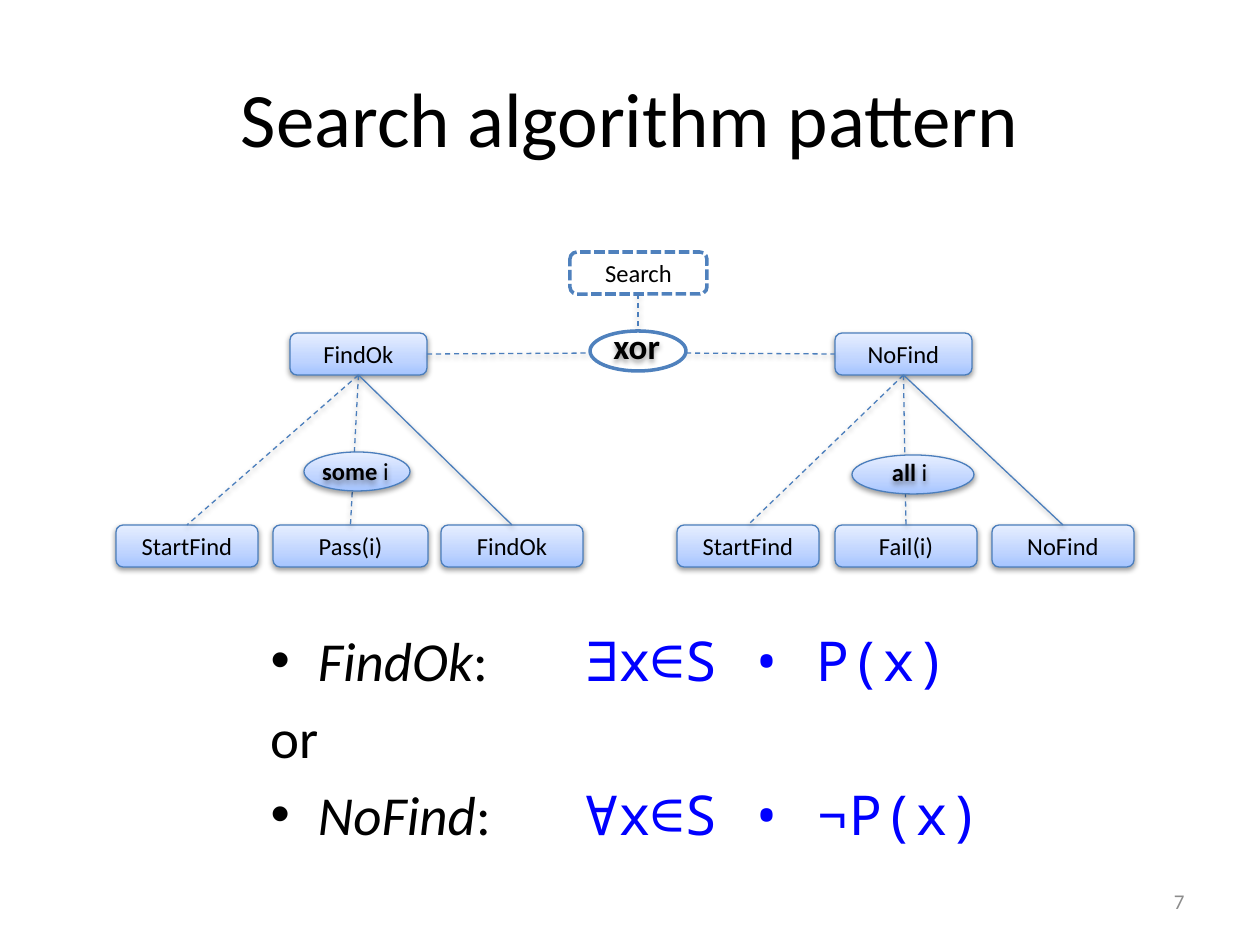
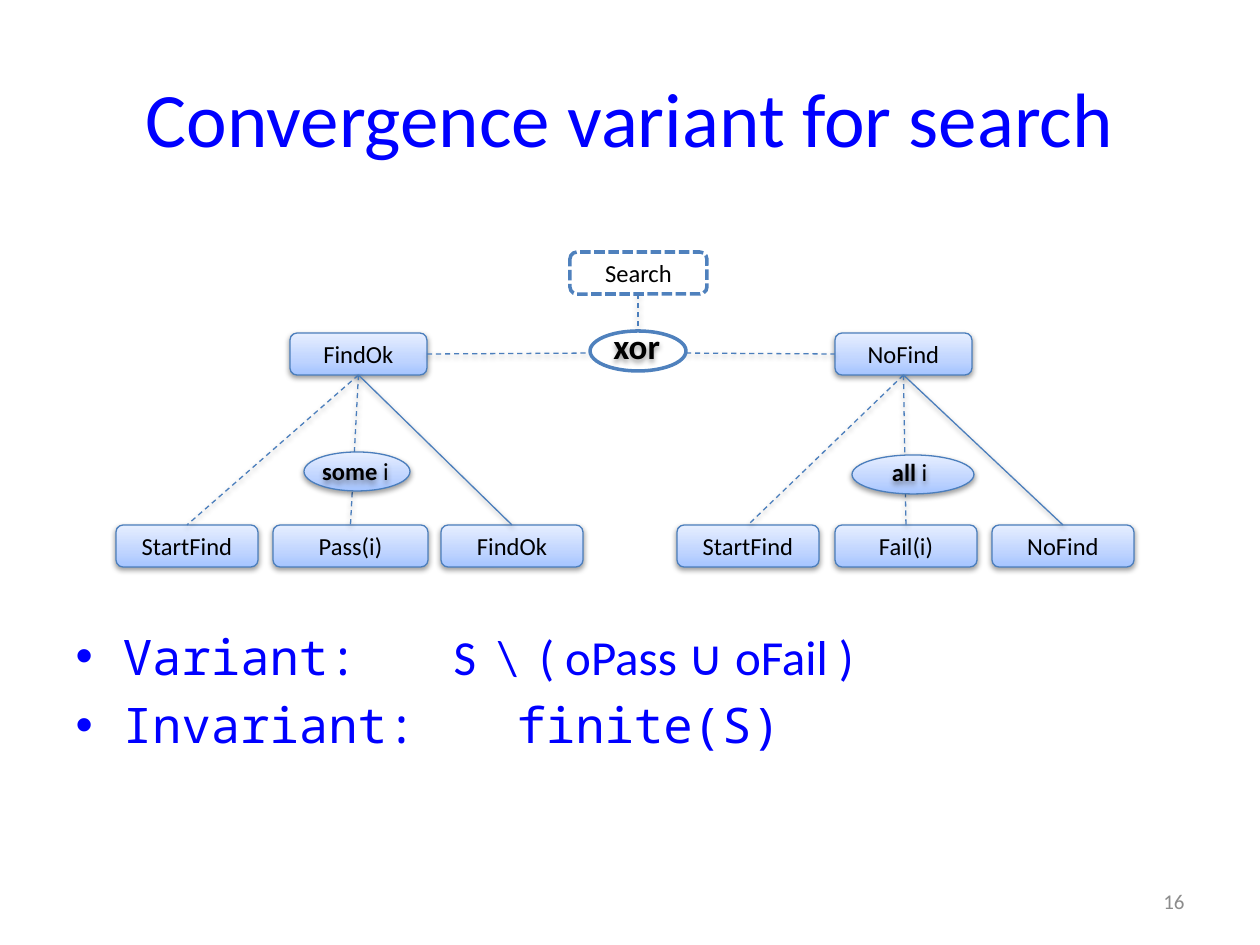
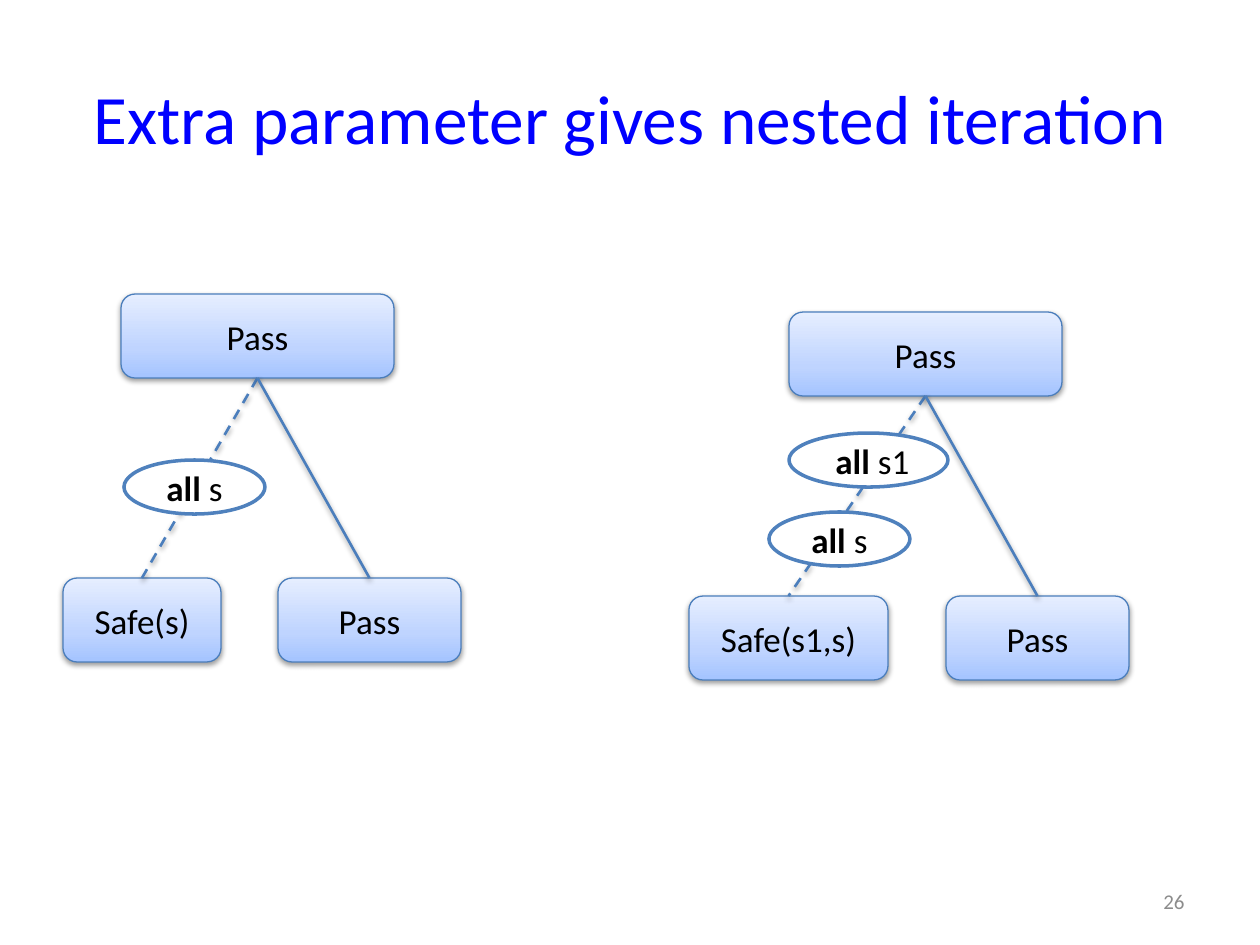
from pptx import Presentation
from pptx.dml.color import RGBColor
from pptx.enum.dml import MSO_LINE
from pptx.enum.shapes import MSO_CONNECTOR, MSO_SHAPE
from pptx.enum.text import MSO_ANCHOR, MSO_AUTO_SIZE, PP_ALIGN
from pptx.oxml import parse_xml
from pptx.oxml.ns import nsdecls, qn
from pptx.util import Emu, Inches, Pt

BLACK = RGBColor(0x00, 0x00, 0x00)
WHITE = RGBColor(0xFF, 0xFF, 0xFF)
BLUE = RGBColor(0x00, 0x00, 0xFF)
GREY = RGBColor(0x8C, 0x8C, 0x8C)
EDGE = RGBColor(0x4B, 0x7E, 0xBC)
RIM = RGBColor(0x4F, 0x81, 0xBD)
STOPS = [(0, RGBColor(0xA4, 0xC4, 0xFF)), (35, RGBColor(0xBF, 0xD4, 0xFF)),
         (100, RGBColor(0xE6, 0xEE, 0xFF))]

SANS, MONO = "Calibri", "Noto Sans Mono"
RECT, OVAL = MSO_SHAPE.ROUNDED_RECTANGLE, MSO_SHAPE.OVAL
DASH, DOTS = MSO_LINE.DASH, MSO_LINE.SQUARE_DOT
STRAIGHT = MSO_CONNECTOR.STRAIGHT
LEFT, CENTER, RIGHT = PP_ALIGN.LEFT, PP_ALIGN.CENTER, PP_ALIGN.RIGHT
MIDDLE, TOP = MSO_ANCHOR.MIDDLE, MSO_ANCHOR.TOP
FIXED = MSO_AUTO_SIZE.NONE
FOOT, HEAD = 2, 0  # connection sites of a box
SCALE = 914400 / 126


def px(n):
    return Emu(round(n * SCALE))


def place(shape, area):
    shape.left, shape.top, shape.width, shape.height = map(px, area)


# Text
def write(par, runs, size, color=BLACK):
    """Each run is (text, style); style may hold font, color, bold, italic."""
    for text, style in runs:
        run = par.add_run()
        run.text = text
        font = run.font
        font.size = Pt(size)
        font.name = style.get("font", SANS)
        font.color.rgb = style.get("color", color)
        font.bold = style.get("bold", False)
        font.italic = style.get("italic", False)


def label(slide, area, runs, size, align=CENTER, anchor=TOP, color=BLACK):
    box = slide.shapes.add_textbox(*map(px, area))
    frame = box.text_frame
    frame.word_wrap = True
    frame.vertical_anchor = anchor
    frame.paragraphs[0].alignment = align
    write(frame.paragraphs[0], runs, size, color)
    return box


# Shapes and lines
def shade(shape):
    props = shape._element.spPr
    for old in props.findall(qn("a:effectLst")):
        props.remove(old)
    props.append(parse_xml(
        f'<a:effectLst {nsdecls("a")}><a:outerShdw blurRad="40000" dist="20000" '
        'dir="5400000" rotWithShape="0"><a:srgbClr val="000000">'
        '<a:alpha val="38000"/></a:srgbClr></a:outerShdw></a:effectLst>'))


def blend(shape):
    shape.fill.gradient()
    shape.fill.gradient_angle = 90
    stops = shape._element.spPr.find(".//" + qn("a:gsLst"))
    for old in list(stops):
        stops.remove(old)
    for pos, color in STOPS:
        stops.append(parse_xml(
            f'<a:gs {nsdecls("a")} pos="{pos * 1000}">'
            f'<a:srgbClr val="{color}"/></a:gs>'))


def node(slide, kind, area, runs=(), size=14, plain=False, dash=None):
    shape = slide.shapes.add_shape(kind, *map(px, area))
    shape.shadow.inherit = False
    if plain:
        shape.fill.solid()
        shape.fill.fore_color.rgb = WHITE
    else:
        blend(shape)
    shape.line.color.rgb = RIM if plain else EDGE
    shape.line.width = Pt(2 if plain else 0.75)
    if dash:
        shape.line.dash_style = dash
    if not plain:
        shade(shape)
    frame = shape.text_frame
    frame.vertical_anchor = MIDDLE
    frame.paragraphs[0].alignment = CENTER
    write(frame.paragraphs[0], runs, size)
    return shape


def box(slide, area, text, size=14, **look):
    return node(slide, RECT, area, [(text, {})], size, **look)


def line(slide, ends, width=0.75, dash=DASH):
    wire = slide.shapes.add_connector(STRAIGHT, *map(px, ends))
    wire.line.color.rgb = EDGE
    wire.line.width = Pt(width)
    if dash:
        wire.line.dash_style = dash
    shade(wire)
    return wire


def link(slide, root, leaf, width, dash):
    wire = line(slide, (0, 0, 0, 0), width, dash)
    wire.begin_connect(root, FOOT)
    wire.end_connect(leaf, HEAD)


def tree(slide, root, leaves, top, high, size, width):
    """Leaves are (left, width, text); only the last has a solid line."""
    for left, wide, text in leaves:
        leaf = box(slide, (left, top, wide, high), text, size)
        last = text == leaves[-1][2]
        link(slide, root, leaf, width, None if last else DASH)


def tag(slide, oval, area, runs, size=14, align=CENTER, plain=False):
    node(slide, OVAL, oval, plain=plain)
    shade(label(slide, area, runs, size, align))


# Slide parts
def start(deck, layout, title, number, color=BLUE, size=44):
    slide = deck.slides.add_slide(deck.slide_layouts[layout])
    head = slide.shapes.title
    place(head, (63, 38, 1134, 158))
    frame = head.text_frame
    frame.auto_size = FIXED
    frame.vertical_anchor = MIDDLE
    frame.paragraphs[0].alignment = CENTER
    write(frame.paragraphs[0], [(title, {})], size, color)
    label(slide, (903, 876, 294, 50), [(number, {})], 12, RIGHT, MIDDLE, GREY)
    return slide


def body(slide, area, rows, size):
    """Each row is (bullet, runs)."""
    shape = slide.placeholders[1]
    place(shape, area)
    frame = shape.text_frame
    frame.auto_size = FIXED
    for i, (bullet, runs) in enumerate(rows):
        par = frame.paragraphs[0] if i == 0 else frame.add_paragraph()
        if i == 0:
            par.space_before = Pt(0)
        if not bullet:
            par._p.get_or_add_pPr().append(
                parse_xml(f'<a:buNone {nsdecls("a")}/>'))
        write(par, runs, size)


def search(slide):
    """Draw the search tree that two slides share."""
    bold = {"bold": True}
    found = box(slide, (290, 333, 137, 42), "FindOk")
    none = box(slide, (835, 333, 137, 42), "NoFind")
    box(slide, (570, 252, 137, 42), "Search", plain=True, dash=DOTS)
    for ends in [(427, 354, 598, 353), (677, 353, 835, 354),
                 (638, 294, 638, 330)]:
        line(slide, ends)
    tree(slide, found, [(116, 142, "StartFind"), (273, 155, "Pass(i)"),
                        (441, 142, "FindOk")], 525, 42, 14, 0.75)
    tag(slide, (304, 452, 106, 39), (302, 450, 107, 43),
        [("some ", bold), ("i", {})])
    tree(slide, none, [(677, 142, "StartFind"), (835, 142, "Fail(i)"),
                       (992, 142, "NoFind")], 525, 42, 14, 0.75)
    tag(slide, (852, 455, 122, 39), (851, 451, 123, 43),
        [("all ", bold), ("i ", {})])
    tag(slide, (590, 331, 96, 40), (601, 318, 108, 55),
        [("xor", bold)], 20, LEFT, True)


def nest(slide, area, leaves, loops):
    """Draw a Pass tree with its loop ovals."""
    root = box(slide, area, "Pass", 20)
    tree(slide, root, leaves, area[1] + 284, 84, 20, 1.5)
    for left, top, wide, name in loops:
        node(slide, OVAL, (left, top, wide, 54),
             [(" ", {}), ("all ", {"bold": True}), (name + " ", {})], 20, True)


def main():
    deck = Presentation()
    deck.slide_width, deck.slide_height = Inches(10), Inches(7.5)
    slant = {"italic": True}
    code = {"font": MONO, "color": BLUE}

    # Search pattern
    slide = start(deck, 1, "Search algorithm pattern", "7", BLACK)
    search(slide)
    body(slide, (258, 620, 958, 224), [
        (True, [("FindOk", slant), (": \t\t", {}), ("∃x∈S • P(x)", code)]),
        (False, [("or", {})]),
        (True, [("NoFind", slant), (": \t\t", {}), ("∀x∈S • ¬P(x)", code)]),
    ], 31.4)

    # Variant
    slide = start(deck, 1, "Convergence variant for search", "16")
    search(slide)
    body(slide, (63, 620, 1134, 224), [
        (True, [("Variant:\t\t", code),
                ("S  \\  ( oPass ∪ oFail )", {"color": BLUE})]),
        (True, [("Invariant:\t\tfinite(S)", code)]),
    ], 28)

    # Nested loops
    slide = start(deck, 5, "Extra parameter gives nested iteration", "26",
                  size=39.6)
    nest(slide, (121, 294, 273, 84),
         [(63, 158, "Safe(s)"), (278, 183, "Pass")], [(124, 460, 141, "s")])
    nest(slide, (789, 312, 273, 84),
         [(689, 199, "Safe(s1,s)"), (946, 183, "Pass")],
         [(789, 433, 159, "s1"), (769, 512, 141, "s")])

    deck.save("out.pptx")


if __name__ == "__main__":
    main()
